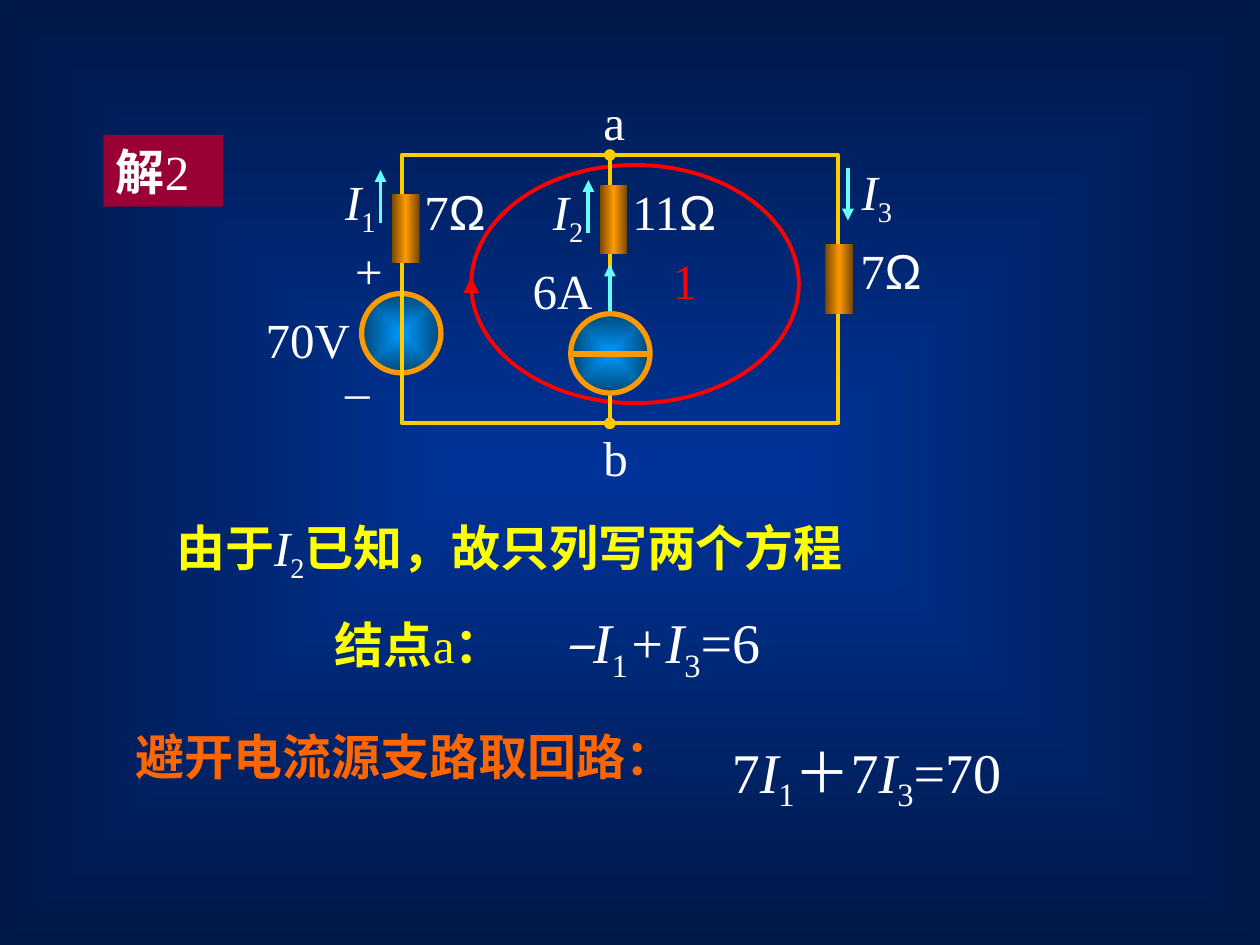
from dataclasses import dataclass

from lxml import etree
from pptx import Presentation, util as u
from pptx.dml.color import RGBColor
from pptx.enum import shapes, text
from pptx.oxml import parse_xml
from pptx.oxml.ns import nsdecls, qn


@dataclass(frozen=True)
class Theme:
    white: str = "FFFFFF"
    yellow: str = "FFFF00"
    orange: str = "FF6600"
    red: str = "FF0000"
    wine: str = "990033"
    cyan: str = "66FFFF"
    wire: str = "FFCC00"
    rim: str = "FF9900"
    back: tuple = ("003399", "001847")
    ball: tuple = ("0099FF", "004776")
    tube: tuple = ("764700", "FF9900", "764700")
    serif: str = "Times New Roman"
    sans: str = "Arial"
    han: str = "Noto Sans CJK SC"
    size: int = 28
    large: int = 32
    thin: float = 2.25
    thick: float = 3


class Board:
    cols, rows = 100, 75

    def __init__(self, deck, theme):
        self.theme = theme
        self.slide = deck.slides.add_slide(deck.slide_layouts[5])
        self.shapes = self.slide.shapes
        self.cell = deck.slide_width / self.cols, deck.slide_height / self.rows
        fill = self.slide.background.fill
        fill.solid()
        self.blend(self.slide.element.find(".//" + qn("p:bgPr")), theme.back, True)

    def grid(self, *spots):
        return [u.Emu(round(n * self.cell[i % 2])) for i, n in enumerate(spots)]

    def blend(self, node, tones, boxed):
        step = 100000 // (len(tones) - 1)
        stops = "".join(
            f'<a:gs pos="{i * step}"><a:srgbClr val="{tone}"/></a:gs>'
            for i, tone in enumerate(tones))
        way = '<a:lin ang="0" scaled="0"/>'
        if boxed:
            way = ('<a:path path="rect"><a:fillToRect l="50000" t="50000" '
                   'r="50000" b="50000"/></a:path>')
        grad = parse_xml(f'<a:gradFill {nsdecls("a")} rotWithShape="1">'
                         f'<a:gsLst>{stops}</a:gsLst>{way}</a:gradFill>')
        node.replace(node.find(qn("a:solidFill")), grad)

    def shape(self, kind, spot, tones=None, edge=None, width=0, boxed=True):
        item = self.shapes.add_shape(kind, *self.grid(*spot))
        item.shadow.inherit = False
        if tones:
            item.fill.solid()
            self.blend(item._element.spPr, tones, boxed)
        else:
            item.fill.background()
        if edge:
            item.line.color.rgb = RGBColor.from_string(edge)
            item.line.width = u.Pt(width)
        else:
            item.line.fill.background()

    def oval(self, spot, *style):
        self.shape(shapes.MSO_SHAPE.OVAL, spot, *style)

    def ball(self, x, y):
        self.oval((x, y, 6.3, 6.3), self.theme.ball, self.theme.rim, self.theme.thick)

    def tube(self, x, y):
        self.shape(shapes.MSO_SHAPE.RECTANGLE, (x, y, 2.2, 5.5), self.theme.tube, boxed=False)

    def line(self, spot, color, width, head=None, tail=None):
        item = self.shapes.add_connector(shapes.MSO_CONNECTOR.STRAIGHT, *self.grid(*spot))
        item.line.color.rgb = RGBColor.from_string(color)
        item.line.width = u.Pt(width)
        edge = item.line._get_or_add_ln()
        for end, form in (("head", head), ("tail", tail)):
            if form:
                etree.SubElement(edge, qn(f"a:{end}End"), type=form)
        etree.SubElement(item._element.spPr, qn("a:effectLst"))

    def arrow(self, x, start, end):
        self.line((x, start, x, end), self.theme.cyan, self.theme.thin, tail="triangle")

    def letter(self, frame, runs, color, size, tab=None):
        frame.word_wrap = True
        frame.auto_size = text.MSO_AUTO_SIZE.NONE
        frame.vertical_anchor = text.MSO_ANCHOR.TOP
        frame.margin_left = frame.margin_right = u.Inches(0.1)
        frame.margin_top = frame.margin_bottom = u.Inches(0.05)
        para = frame.paragraphs[0]
        para.alignment = text.PP_ALIGN.LEFT
        para.space_before = u.Pt(0)
        if tab:
            tabs = etree.SubElement(para._p.get_or_add_pPr(), qn("a:tabLst"))
            etree.SubElement(tabs, qn("a:tab"), pos=str(self.grid(tab)[0]), algn="l")
        font = para.font
        font.name, font.size = self.theme.serif, u.Pt(size)
        font.color.rgb = RGBColor.from_string(color)
        etree.SubElement(font._element, qn("a:ea"), typeface=self.theme.han)
        for words, *marks in runs:
            run = para.add_run()
            run.text = words
            font = run.font
            font.bold = "bold" in marks
            if "var" in marks:
                font.italic = True
            if "sub" in marks:
                font._element.set("baseline", "-25000")
            if "sans" in marks:
                font.name = self.theme.sans
            if "large" in marks:
                font.size = u.Pt(self.theme.large)
            if "white" in marks:
                font.color.rgb = RGBColor.from_string(self.theme.white)

    def title(self, spot, runs):
        item = self.shapes.title
        item.left, item.top, item.width, item.height = self.grid(*spot)
        item.fill.solid()
        item.fill.fore_color.rgb = RGBColor.from_string(self.theme.wine)
        self.letter(item.text_frame, runs, self.theme.white, self.theme.size)

    def label(self, spot, *runs, color=None, size=None, tab=None):
        box = self.shapes.add_textbox(*self.grid(*spot))
        self.letter(box.text_frame, runs, color or self.theme.white,
                    size or self.theme.size, tab)


def main():
    deck = Presentation()
    deck.slide_width, deck.slide_height = u.Inches(10), u.Inches(7.5)
    look = Theme()
    board = Board(deck, look)

    board.title((8.2, 10.7, 9.5, 5.7), [("解", "bold"), ("2",)])
    board.oval((37.4, 13.1, 26, 18.9), None, look.red, look.thin)
    board.label((52.4, 19.4, 6.5, 5.7), ("1",), color=look.red)
    board.line((37.4, 23, 37.4, 22), look.red, look.thick, tail="triangle")

    board.label((13, 40.6, 66.1, 6.3), ("由于", "bold"), ("I", "var", "white"),
                ("2", "sub", "white"), ("已知，故只列写两个方程", "bold"), color=look.yellow)
    board.label((25.6, 47.7, 39.2, 7.1), ("结点", "bold"), ("a",), ("：\t", "bold"),
                ("–I", "var", "large", "white"), ("1", "sub", "large", "white"),
                ("+I", "var", "large", "white"), ("3", "sub", "large", "white"),
                ("=6", "large", "white"), color=look.yellow, tab=18.1)
    board.label((9.8, 57.2, 48, 5.7), ("避开电流源支路取回路：", "bold"), color=look.orange)
    board.label((57.1, 58, 30.7, 7.1), ("7",), ("I", "var"), ("1", "sub"), ("＋7",),
                ("I", "var"), ("3", "sub"), ("=70",), size=look.large)

    board.ball(28.7, 23.3)
    for words, *spot in (("70V", 20.1, 24.1, 9.4), ("b", 46.9, 33.4, 3.9),
                         ("a", 46.9, 6.8, 3.7), ("+", 27.2, 18.6, 3.7),
                         ("–", 26.4, 28.1, 3.9), ("6A", 41.3, 20.2, 9.4)):
        board.label((*spot, 5.7), (words,))
    for count, *spot in (("7", 67.3, 18.6, 13.3), ("7", 32.7, 13.9, 10.2),
                         ("11", 49.2, 13.9, 9.4)):
        board.label((*spot, 5.7), (count,), ("Ω", "sans"))
    for index, *spot in (("1", 26.4, 13.1, 4.9), ("3", 67.4, 12.3, 6.5),
                         ("2", 42.9, 13.9, 4.9)):
        board.label((*spot, 6.3), ("I", "var"), (index, "sub"))
    for spot in ((30.2, 17.7, 13.5), (67.3, 13.3, 17.5), (46.7, 18.5, 14.3)):
        board.arrow(*spot)

    board.shape(shapes.MSO_SHAPE.RECTANGLE, (31.9, 12.3, 34.6, 21.3),
                None, look.wire, look.thin)
    board.line((48.4, 12.3, 48.4, 33.6), look.wire, look.thin, "oval", "oval")
    for spot in ((31.1, 15.4), (47.6, 14.7), (65.5, 19.4)):
        board.tube(*spot)
    board.arrow(48.4, 24.9, 21)
    board.ball(45.3, 24.9)
    board.line((45.3, 28.1, 51.6, 28.1), look.rim, look.thick)
    deck.save("out.pptx")


if __name__ == "__main__":
    main()
